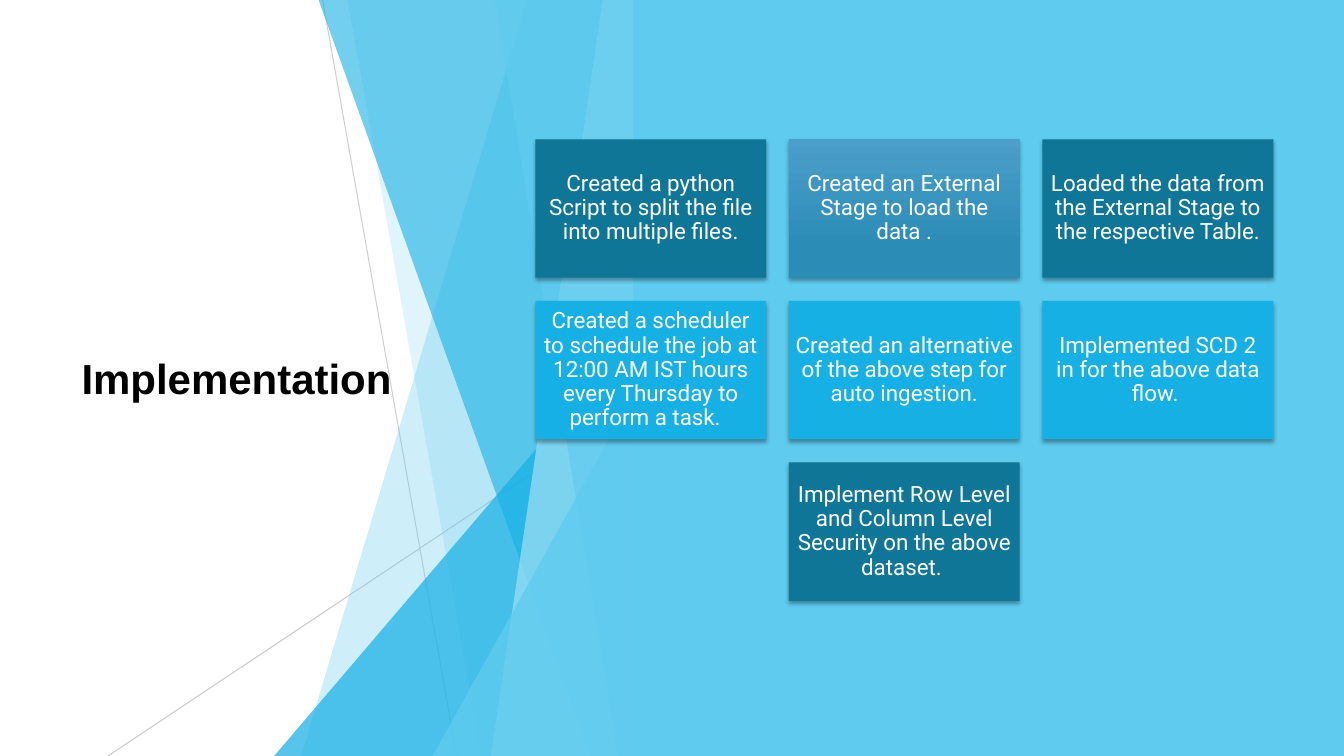
from dataclasses import dataclass

from lxml import etree
from pptx import Presentation
from pptx import util as u
from pptx.dml.color import RGBColor
from pptx.enum import shapes, text
from pptx.oxml.ns import qn

COLORS = {
    "sky": "5FCBEF", "azure": "17B0E4", "pale": "9FE0F5", "teal": "0F7698",
    "steel": "4B9FCA", "ocean": "2B8CB6", "grey": "BFBFBF",
    "white": "FFFFFF", "black": "000000",
}
SLIDE_W, SLIDE_H, PANEL_X = 33.87, 19.05, 15.95
BOX_W, BOX_H, BOX_X, BOX_Y = 5.82, 3.49, 13.49, 3.51
PITCH_X, PITCH_Y = 6.39, 4.07


@dataclass
class Ray:
    x1: float
    y1: float
    x2: float
    y2: float
    alpha: int


@dataclass
class Facet:
    top_x: float
    bottom_x: float
    color: str
    alpha: int


@dataclass
class Wedge:
    left: float
    top: float
    color: str
    alpha: int


@dataclass
class Step:
    col: int
    row: int
    color: str
    label: str


RAYS = [Ray(8.13, 0, 11.51, SLIDE_H, 75), Ray(PANEL_X, 10.24, 2.72, SLIDE_H, 80)]
DECOR = [
    Facet(13.28, 7.59, "sky", 30),
    Facet(8.76, 12.14, "sky", 20),
    Wedge(6.91, 8.46, "azure", 72),
    Facet(8.03, 14.88, "azure", 60),
    Facet(15.19, 12.37, "pale", 70),
    Facet(12.47, 15.57, "sky", 65),
    Wedge(10.9, 9.98, "sky", 80),
]
STEPS = [
    Step(0, 0, "teal", "Created a python Script to split the file into multiple files."),
    Step(1, 0, "steel", "Created an External Stage to load the data ."),
    Step(2, 0, "teal", "Loaded the data from the External Stage to the respective Table."),
    Step(0, 1, "azure", "Created a scheduler to schedule the job at 12:00 AM IST hours "
                        "every Thursday to perform a task.  "),
    Step(1, 1, "azure", "Created an alternative of the above step for auto ingestion."),
    Step(2, 1, "azure", "Implemented SCD 2 in for the above data flow. "),
    Step(1, 2, "teal", "Implement Row Level and Column Level Security on the above dataset. "),
]


def rgb(name: str) -> RGBColor:
    """Return a palette colour."""
    return RGBColor.from_string(COLORS[name])


def set_alpha(element, percent: int) -> None:
    """Make the solid colour inside an element translucent."""
    color = next(element.iter(qn("a:srgbClr")))
    etree.SubElement(color, qn("a:alpha"), val=str(percent * 1000))


def paint(sp, color: str) -> None:
    """Give a shape a plain fill without outline or shadow."""
    sp.fill.solid()
    sp.fill.fore_color.rgb = rgb(color)
    sp.line.fill.background()
    sp.shadow.inherit = False


def add_ray(s, ray: Ray) -> None:
    """Draw a thin translucent line."""
    ends = [u.Cm(v) for v in (ray.x1, ray.y1, ray.x2, ray.y2)]
    line = s.shapes.add_connector(shapes.MSO_CONNECTOR.STRAIGHT, *ends)
    line.line.color.rgb = rgb("grey")
    line.line.width = u.Pt(0.75)
    sp_pr = line._element.spPr
    set_alpha(sp_pr, ray.alpha)
    etree.SubElement(sp_pr, qn("a:effectLst"))


def add_decor(s, item: Facet | Wedge) -> None:
    """Draw a translucent facet or wedge that ends at the panel."""
    if isinstance(item, Facet):
        points = [(PANEL_X, 0), (PANEL_X, SLIDE_H), (item.bottom_x, SLIDE_H)]
        builder = s.shapes.build_freeform(u.Cm(item.top_x), 0)
        builder.add_line_segments([(u.Cm(x), u.Cm(y)) for x, y in points])
        sp = builder.convert_to_shape()
    else:
        sp = s.shapes.add_shape(
            shapes.MSO_SHAPE.ISOSCELES_TRIANGLE, u.Cm(item.left), u.Cm(item.top),
            u.Cm(PANEL_X - item.left), u.Cm(SLIDE_H - item.top))
        sp.adjustments[0] = 1
    paint(sp, item.color)
    set_alpha(sp._element.spPr, item.alpha)


def add_title(s, label: str) -> None:
    """Place the title above the decoration."""
    sp = s.shapes.title
    s.shapes._spTree.append(sp._element)
    sp.left, sp.top, sp.width, sp.height = (u.Cm(v) for v in (1.8, 3.84, 9.86, 11.38))
    tf = sp.text_frame
    tf.vertical_anchor = text.MSO_ANCHOR.MIDDLE
    p = tf.paragraphs[0]
    p.alignment = text.PP_ALIGN.LEFT
    add_run(p, label, "Arial", 30, "black").font.bold = True


def add_run(p, label: str, font: str, size: int, color: str):
    """Add a formatted run to a paragraph."""
    r = p.add_run()
    r.text = label
    r.font.name, r.font.size = font, u.Pt(size)
    r.font.color.rgb = rgb(color)
    return r


def add_step(s, step: Step) -> None:
    """Draw one step box in the grid."""
    sp = s.shapes.add_shape(
        shapes.MSO_SHAPE.RECTANGLE, u.Cm(BOX_X + step.col * PITCH_X),
        u.Cm(BOX_Y + step.row * PITCH_Y), u.Cm(BOX_W), u.Cm(BOX_H))
    paint(sp, step.color)
    if step.color == "steel":
        sp.fill.gradient()
        sp.fill.gradient_angle = 270
        for stop, color, position in zip(sp.fill.gradient_stops, ("steel", "ocean"), (0, 0.78)):
            stop.color.rgb = rgb(color)
            stop.position = position
    effects = sp._element.spPr.find(qn("a:effectLst"))
    shadow = etree.SubElement(effects, qn("a:outerShdw"), blurRad=str(u.Pt(3)),
                              dist=str(u.Pt(2)), dir="5400000", rotWithShape="0")
    etree.SubElement(shadow, qn("a:srgbClr"), val=COLORS["black"])
    set_alpha(shadow, 35)
    tf = sp.text_frame
    tf.word_wrap = True
    tf.vertical_anchor = text.MSO_ANCHOR.MIDDLE
    tf.margin_left = tf.margin_right = tf.margin_top = tf.margin_bottom = u.Cm(0.17)
    p = tf.paragraphs[0]
    p.alignment = text.PP_ALIGN.CENTER
    p.line_spacing = 0.9
    add_run(p, step.label, "Roboto", 16, "white")


def main() -> None:
    """Build and save the slide."""
    prs = Presentation()
    prs.slide_width, prs.slide_height = u.Cm(SLIDE_W), u.Cm(SLIDE_H)
    s = prs.slides.add_slide(prs.slide_layouts[5])
    for ray in RAYS:
        add_ray(s, ray)
    for item in DECOR:
        add_decor(s, item)
    add_title(s, "Implementation")
    panel = s.shapes.add_shape(shapes.MSO_SHAPE.RECTANGLE, u.Cm(PANEL_X), 0,
                               u.Cm(SLIDE_W - PANEL_X), u.Cm(SLIDE_H))
    paint(panel, "sky")
    for step in STEPS:
        add_step(s, step)
    prs.save("out.pptx")


if __name__ == "__main__":
    main()
